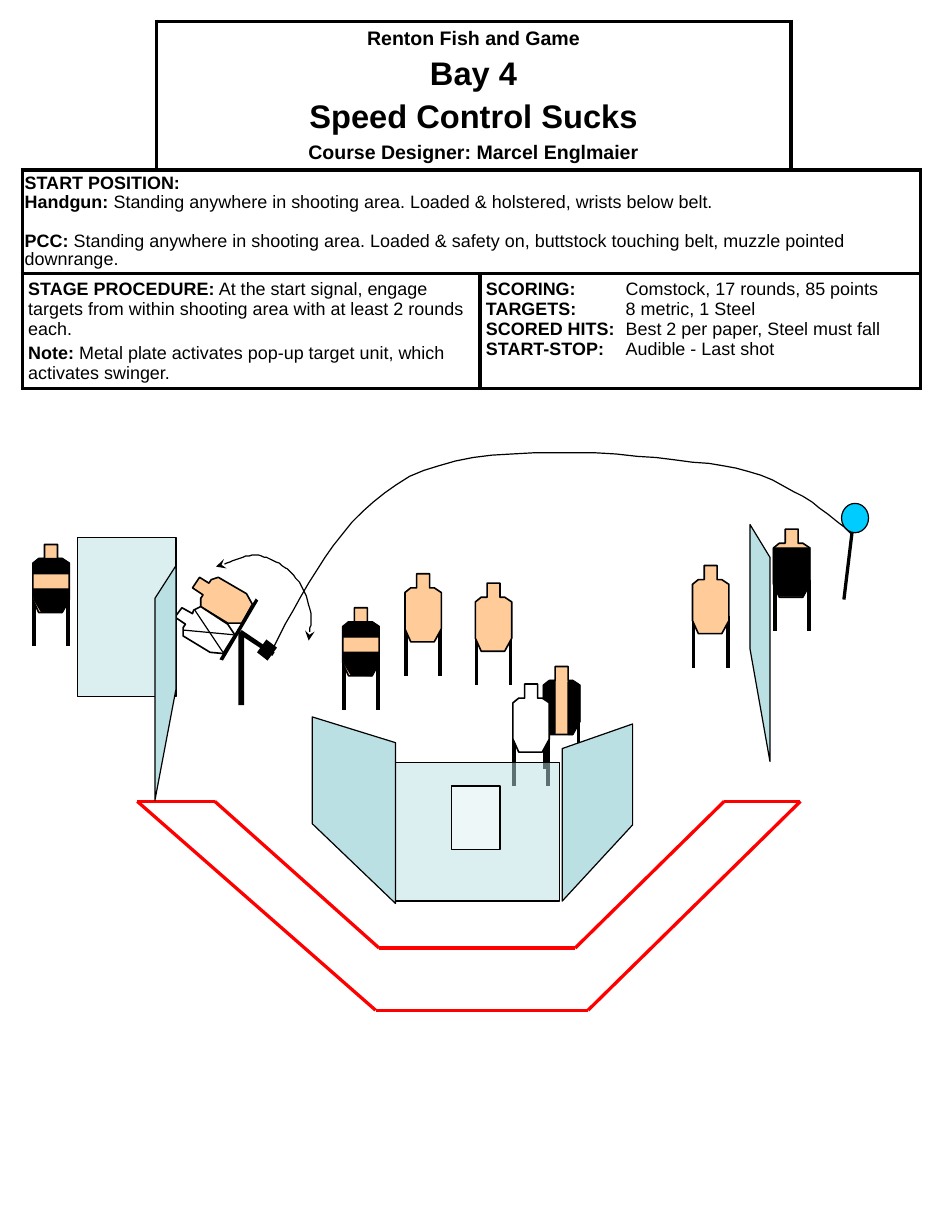
"""Build the one-page stage briefing for a shooting match, with its bay diagram."""
from lxml.etree import SubElement
from pptx import Presentation
from pptx.dml.color import RGBColor
from pptx.enum.shapes import MSO_CONNECTOR, MSO_SHAPE
from pptx.enum.text import MSO_ANCHOR, PP_ALIGN
from pptx.oxml import parse_xml
from pptx.oxml.ns import nsdecls, qn
from pptx.util import Pt

PX = 9144
COLORS = {"black": "000000", "white": "FFFFFF", "tan": "FFCC99", "wall": "BBE0E3",
          "plate": "00CCFF", "red": "FF0000"}
RGB = {name: RGBColor.from_string(value) for name, value in COLORS.items()}


def draw_outline(shapes, points, fill=None, width=0.75, closed=True):
    builder = shapes.build_freeform(*points[0], scale=PX)
    builder.add_line_segments(points[1:], close=closed)
    shape = builder.convert_to_shape()
    shape.shadow.inherit = False
    if fill:
        shape.fill.solid()
        shape.fill.fore_color.rgb = RGB[fill]
    else:
        shape.fill.background()
    if width:
        shape.line.color.rgb = RGB["black"]
        shape.line.width = Pt(width)
    else:
        shape.line.fill.background()
    return shape


def draw_line(shapes, start, end, color="black", width=2.25):
    ends = [value * PX for value in (*start, *end)]
    line = shapes.add_connector(MSO_CONNECTOR.STRAIGHT, *ends)
    line.line.color.rgb = RGB[color]
    line.line.width = Pt(width)
    SubElement(line._element.spPr, qn("a:effectLst"))


presentation = Presentation()
presentation.slide_width, presentation.slide_height = 800 * PX, 1050 * PX
slide = presentation.slides.add_slide(presentation.slide_layouts[6])

column_widths, row_heights = [114, 276, 265, 110], [127, 88, 98]
table = slide.shapes.add_table(3, 4, 19 * PX, 18 * PX, sum(column_widths) * PX,
                               sum(row_heights) * PX).table
table.first_row = table.horz_banding = False
for column, width in zip(table.columns, column_widths):
    column.width = width * PX
for row, height in zip(table.rows, row_heights):
    row.height = height * PX

for row in range(3):
    for column in range(4):
        cell = table.cell(row, column)
        cell.fill.solid()
        cell.fill.fore_color.rgb = RGB["white"]
        sides = {(0, 0): "RB", (0, 3): "LB"}.get((row, column), "LRTB")
        for index, side in enumerate("LRTB"):
            paint = (f'<a:solidFill><a:srgbClr val="{COLORS["black"]}"/></a:solidFill>'
                     if side in sides else "<a:noFill/>")
            border = parse_xml(f'<a:ln{side} {nsdecls("a")} w="{Pt(2.25)}">{paint}</a:ln{side}>')
            cell._tc.get_or_add_tcPr().insert(index, border)

LEFT, CENTER = PP_ALIGN.LEFT, PP_ALIGN.CENTER
text_cells = [
    ((0, 1), (0, 2), 5, 5, CENTER, 1, [
        (12, 0, "Renton Fish and Game", ""),
        (20, 4, "Bay 4", ""),
        (20, 4, "Speed Control Sucks", ""),
        (12, 4.2, "Course Designer: Marcel Englmaier", "")]),
    ((1, 0), (1, 3), 2, 4, LEFT, 0.9, [
        (11, 0, "START POSITION:", ""),
        (11, 1.1, "Handgun:", " Standing anywhere in shooting area. Loaded & holstered, "
                              "wrists below belt."),
        (11, 12.5, "PCC:", " Standing anywhere in shooting area. Loaded & safety on, "
                           "buttstock touching belt, muzzle pointed downrange.")]),
    ((2, 0), (2, 1), 5, 5, LEFT, 1, [
        (11, 0, "STAGE PROCEDURE:", " At the start signal, engage targets from within "
                                    "shooting area with at least 2 rounds each."),
        (11, 2.2, "Note:", " Metal plate activates pop-up target unit, which activates swinger.")]),
    ((2, 2), (2, 3), 5, 5, LEFT, 1, [
        (11, 0, "SCORING:", "\tComstock, 17 rounds, 85 points"),
        (11, 0, "TARGETS:", "\t8 metric, 1 Steel"),
        (11, 0, "SCORED HITS:", "\tBest 2 per paper, Steel must fall"),
        (11, 0, "START-STOP:", "\tAudible - Last shot")]),
]
for first, last, side_inset, end_inset, alignment, spacing, paragraphs in text_cells:
    cell = table.cell(*first)
    cell.merge(table.cell(*last))
    cell.margin_left = cell.margin_right = side_inset * PX
    cell.margin_top = cell.margin_bottom = end_inset * PX
    cell.vertical_anchor = MSO_ANCHOR.MIDDLE if alignment == CENTER else MSO_ANCHOR.TOP
    for index, (size, space, label, detail) in enumerate(paragraphs):
        frame = cell.text_frame
        paragraph = frame.add_paragraph() if index else frame.paragraphs[0]
        paragraph.alignment = alignment
        paragraph.line_spacing = spacing
        paragraph.space_before = Pt(space)
        if detail.startswith("\t"):
            tabs = SubElement(paragraph._p.get_or_add_pPr(), qn("a:tabLst"))
            SubElement(tabs, qn("a:tab"), pos=str(119 * PX), algn="l")
        paragraph.font.name = "Arial"
        paragraph.font.size = Pt(size)
        paragraph.font.color.rgb = RGB["black"]
        for text, bold in ((label, True), (detail, False)):
            if text:
                run = paragraph.add_run()
                run.text = text
                run.font.bold = bold

swinger = slide.shapes.add_group_shape().shapes
swinger_parts = [
    ([(164, 501), (170, 492), (178, 497), (180, 494), (186, 492), (210, 506), (215, 515),
      (206, 531), (194, 531), (171, 517), (171, 510), (173, 507)], "tan", 1),
    ([(220, 512), (190, 563), (187, 562), (218, 510)], "black", 0),
    ([(203, 540), (232, 559), (234, 556), (206, 537)], "black", 0),
    ([(219, 556), (228, 563), (236, 552), (227, 545)], "black", 0),
    ([(149, 526), (155, 518), (164, 523), (165, 520), (171, 517), (194, 532), (200, 541),
      (190, 557), (179, 556), (156, 542), (156, 535), (158, 532)], "white", 1),
]
for points, fill, width in swinger_parts:
    draw_outline(swinger, points, fill, width)
draw_line(swinger, (166, 520), (190, 556), width=0.75)
draw_line(swinger, (199, 541), (156, 537), width=0.75)

area = [(117, 683), (183, 683), (323, 808), (490, 808), (617, 683), (682, 683),
        (501, 861), (320, 861)]
shooting_area = slide.shapes.add_group_shape().shapes
for start, end in zip(area, area[1:] + area[:1]):
    draw_line(shooting_area, start, end, "red", 2)

silhouette = [(10, 0), (21, 0), (21, 12), (25, 12), (31, 16), (31, 47), (25, 58), (5, 58),
              (0, 47), (0, 16), (5, 12), (10, 12)]
covers = {
    "open": [],
    "bands": [[(6, 12), (25, 12), (31, 16), (31, 25), (0, 25), (1, 16)],
              [(25, 58), (31, 47), (31, 38), (0, 38), (1, 47), (7, 57)]],
    "sides": [[(21, 13), (21, 58), (25, 58), (31, 47), (31, 16), (25, 12)],
              [(10, 12), (10, 57), (6, 57), (0, 46), (0, 16), (6, 12)]],
    "body": [[(0, 16), (31, 16), (31, 46), (25, 57), (5, 57), (0, 46)]],
}
targets = [(345, 489, "tan", "open"), (463, 568, "tan", "sides"), (659, 451, "tan", "body"),
           (292, 518, "tan", "bands"), (590, 482, "tan", "open"), (28, 464, "tan", "bands"),
           (405, 497, "tan", "open"), (437, 583, "white", "open")]
for left, top, fill, cover in targets:
    target = slide.shapes.add_group_shape().shapes
    for leg in (left + 1, left + 30):
        draw_line(target, (leg, top + 43), (leg, top + 87))
    layers = [(silhouette, fill, 1)] + [(points, "black", 0.75) for points in covers[cover]]
    for points, color, width in layers:
        draw_outline(target, [(left + x, top + y) for x, y in points], color, width)

draw_line(slide.shapes, (719, 511), (727, 445), width=2)
presets = [
    (MSO_SHAPE.OVAL, (717, 429, 23, 25), "plate", 100, 0.75),
    (MSO_SHAPE.RECTANGLE, (203, 539, 5, 62), "black", 100, 0),
    (MSO_SHAPE.RECTANGLE, (66, 458, 84, 136), "wall", 50, 0.75),
    (MSO_SHAPE.RECTANGLE, (337, 650, 140, 118), "wall", 50, 0.75),
    (MSO_SHAPE.RECTANGLE, (385, 670, 41, 54), "white", 50, 0.75),
]
for kind, box, fill, opacity, width in presets:
    shape = slide.shapes.add_shape(kind, *[value * PX for value in box])
    shape.shadow.inherit = False
    shape.fill.solid()
    shape.fill.fore_color.rgb = RGB[fill]
    if opacity < 100:
        color = shape._element.spPr.find(qn("a:solidFill"))[0]
        SubElement(color, qn("a:alpha"), val=str(opacity * 1000))
    if width:
        shape.line.color.rgb = RGB["black"]
        shape.line.width = Pt(width)
    else:
        shape.line.fill.background()

walls = [[(639, 553), (656, 649), (656, 475), (639, 447)],
         [(539, 703), (479, 768), (479, 638), (539, 617)],
         [(266, 702), (337, 770), (337, 633), (266, 611)],
         [(150, 587), (132, 682), (132, 510), (150, 482)]]
for points in walls:
    draw_outline(slide.shapes, points, "wall")

curves = [
    ([(184, 483), (190, 482), (210, 470), (223, 474), (232, 478), (248, 481), (259, 504),
      (270, 528), (262, 537), (263, 546)], True),
    ([(231, 556), (264, 492), (297, 428), (361, 401), (425, 375), (555, 388), (616, 397),
      (677, 406), (720, 452), (726, 455)], False),
]
for controls, has_arrows in curves:
    points = controls[:1]
    for index in range(0, len(controls) - 1, 3):
        for t in [step / 16 for step in range(1, 17)]:
            weights = [(1 - t) ** 3, 3 * t * (1 - t) ** 2, 3 * t ** 2 * (1 - t), t ** 3]
            points.append(tuple(sum(weight * value for weight, value in zip(weights, axis))
                                for axis in zip(*controls[index:index + 4])))
    curve = draw_outline(slide.shapes, points, closed=False)
    if has_arrows:
        for tag in ("a:headEnd", "a:tailEnd"):
            SubElement(curve.line._get_or_add_ln(), qn(tag), type="stealth")

presentation.save("out.pptx")
